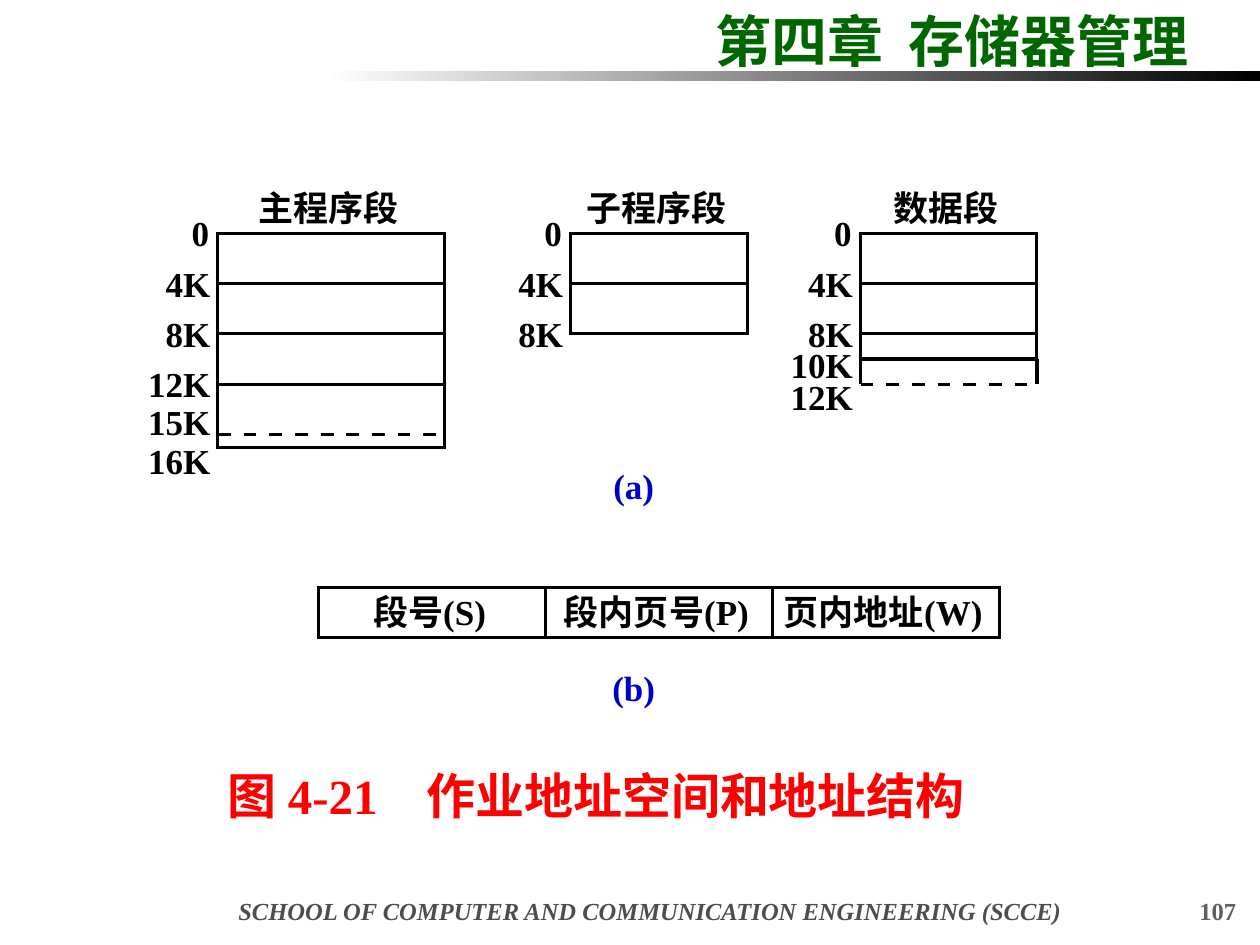
from pptx import Presentation
from pptx.dml.color import RGBColor
from pptx.enum.shapes import MSO_CONNECTOR as Conn, MSO_SHAPE as Geo
from pptx.enum.text import PP_ALIGN as Al
from pptx.oxml.ns import qn
from pptx.util import Inches, Pt
from lxml.etree import SubElement


def rgb(code):
    """Turn a hex string into a colour."""
    return RGBColor.from_string(code)


def put(slide, box, text, size=20, color="000000", align=Al.LEFT,
        italic=False, wrap=False, pad=(0, 0)):
    """Place bold text in a box."""
    shape = slide.shapes.add_textbox(*map(Inches, box))
    frame = shape.text_frame
    frame.word_wrap = wrap
    frame.margin_left = frame.margin_right = Inches(pad[0])
    frame.margin_top = frame.margin_bottom = Inches(pad[1])
    para = frame.paragraphs[0]
    para.alignment = align
    run = para.add_run()
    run.text = text
    font = run.font
    font.name, font.size = "Times New Roman", Pt(size)
    font.bold, font.italic = True, italic
    font.color.rgb = rgb(color)


def cell(slide, box, fill=None):
    """Draw an outlined rectangle with square corners."""
    shape = slide.shapes.add_shape(Geo.RECTANGLE, *map(Inches, box))
    shape.shadow.inherit = False
    if fill:
        shape.fill.solid()
        shape.fill.fore_color.rgb = rgb(fill)
    else:
        shape.fill.background()
    shape.line.color.rgb = rgb("000000")
    shape.line.width = Pt(1.75)
    SubElement(shape.line._get_or_add_ln(), qn("a:miter"), lim="800000")


def rule(slide, *ends):
    """Draw a plain black line."""
    line = slide.shapes.add_connector(Conn.STRAIGHT, *map(Inches, ends))
    line.line.color.rgb = rgb("000000")
    line.line.width = Pt(1.75)
    SubElement(line._element.spPr, qn("a:effectLst"))


def dashes(slide, left, top, count):
    """Draw a row of evenly spaced dashes."""
    pitch = 1.63 / 8
    for i in range(count):
        start = left + i * pitch
        rule(slide, start, top, start + pitch / 2, top)


def header(slide, box):
    """Place the chapter title above its fading bar."""
    left, top, width, height = box
    put(slide, (left + 3, top, width - 3, height), "第四章  存储器管理",
        size=32, color="006600", wrap=True, pad=(0.1, 0.05))
    bar = slide.shapes.add_shape(
        Geo.RECTANGLE, *map(Inches, (left, top + 0.56, width, 0.08)))
    bar.shadow.inherit = False
    bar.line.fill.background()
    bar.fill.gradient()
    bar.fill.gradient_angle = 0
    for stop, place, color in zip(bar.fill.gradient_stops, (0, 1), ("FFFFFF", "000000")):
        stop.position = place
        stop.color.rgb = rgb(color)


def footer(slide, box):
    """Place the school name and the page number."""
    left, top, width, height = box
    style = dict(size=14, wrap=True, pad=(0.1, 0.05))
    put(slide, (left, top, 7.24, height),
        "SCHOOL OF COMPUTER AND COMMUNICATION ENGINEERING (SCCE)",
        color="4D4D4D", align=Al.CENTER, italic=True, **style)
    put(slide, (left + width - 2.08, top, 2.08, height), "107",
        color="5F5F5F", align=Al.RIGHT, **style)


def segment(slide, box, name, steps, marks):
    """Draw a named segment with its pages and address marks."""
    left, top, width = box
    put(slide, (left - 0.02, top - 0.37, width, 0.33), name, align=Al.CENTER)
    level = top
    for step in steps:
        cell(slide, (left, level, width, step), fill="FFFFFF")
        level += step
    for mark, drop in marks.items():
        edge = left - (0.06 if "K" in mark else 0.07)
        put(slide, (edge - 0.6, top - 0.17 + drop, 0.6, 0.33), mark, align=Al.RIGHT)


def spaces(slide, box):
    """Draw the three segments of the address space."""
    left, top = box
    base = {"0": 0, "4K": 0.4, "8K": 0.8}
    segment(slide, (left, top, 1.8), "主程序段", (0.4, 0.4, 0.4, 0.5),
            {**base, "12K": 1.2, "15K": 1.5, "16K": 1.81})
    dashes(slide, left, top + 1.6, 9)
    segment(slide, (left + 2.8, top, 1.4), "子程序段", (0.4, 0.4), base)
    data = left + 5.1
    segment(slide, (data, top, 1.4), "数据段", (0.4, 0.4, 0.2),
            {**base, "10K": 1.05, "12K": 1.3})
    dashes(slide, data, top + 1.2, 7)
    for side in (data, data + 1.4):
        rule(slide, side, top + 1, side, top + 1.2)


def fields(slide, box):
    """Draw the address structure as a row of fields."""
    left, top, width, height = box
    part = width / 3
    for i, name in enumerate(("段号(S)", "段内页号(P)", "页内地址(W)")):
        start = left + i * part
        cell(slide, (start, top, part, height))
        put(slide, (start - 0.02, top + 0.03, part, 0.33), name, align=Al.CENTER)


def main():
    """Build the slide and save it."""
    deck = Presentation()
    deck.slide_width, deck.slide_height = Inches(10), Inches(7.5)
    slide = deck.slides.add_slide(deck.slide_layouts[6])
    header(slide, (2.58, 0, 7.42, 0.64))
    footer(slide, (1.54, 7.06, 8.37, 0.28))
    spaces(slide, (1.73, 1.85))
    fields(slide, (2.53, 4.66, 5.4, 0.4))
    for tag, top in (("(a)", 3.69), ("(b)", 5.29)):
        put(slide, (4.73, top, 0.6, 0.33), tag, color="0000CC", align=Al.CENTER)
    put(slide, (1.71, 6.03, 6.41, 0.57), "图 4-21　作业地址空间和地址结构",
        size=28, color="FF0000", pad=(0.1, 0.05))
    deck.save("out.pptx")


if __name__ == "__main__":
    main()
